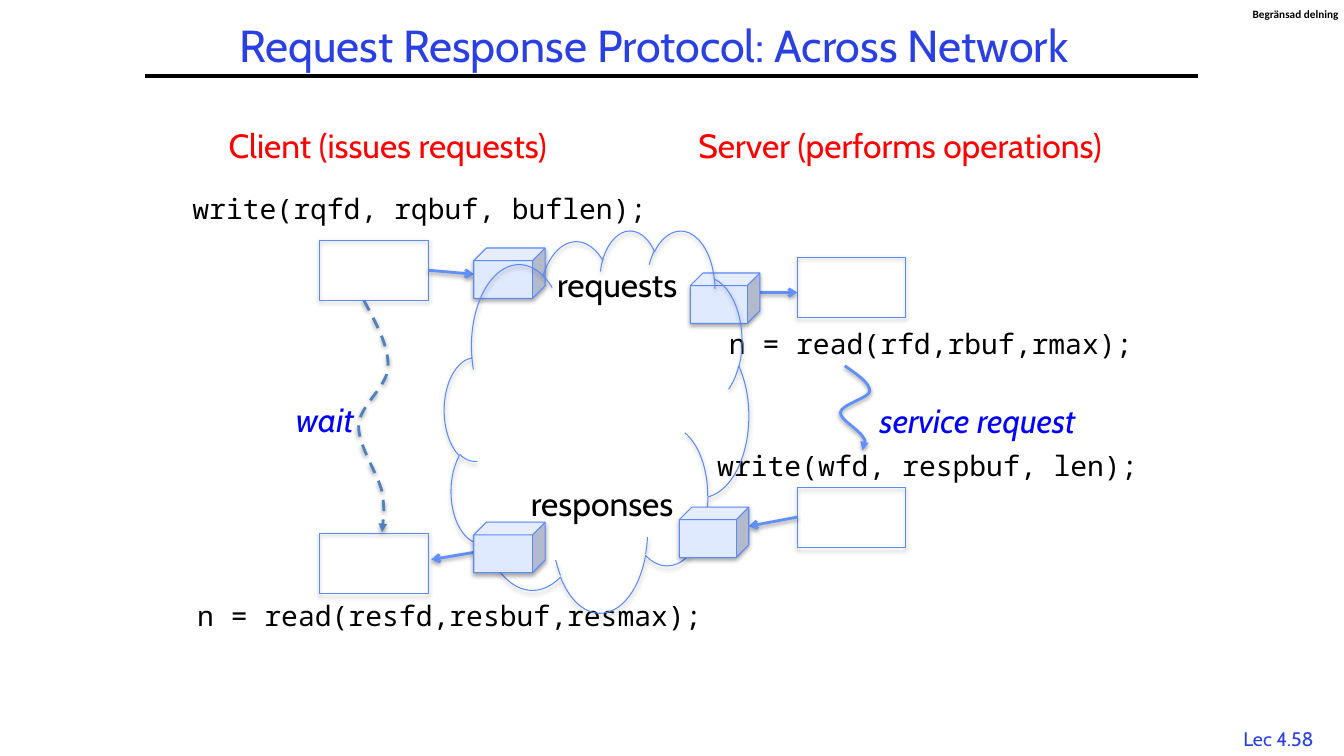
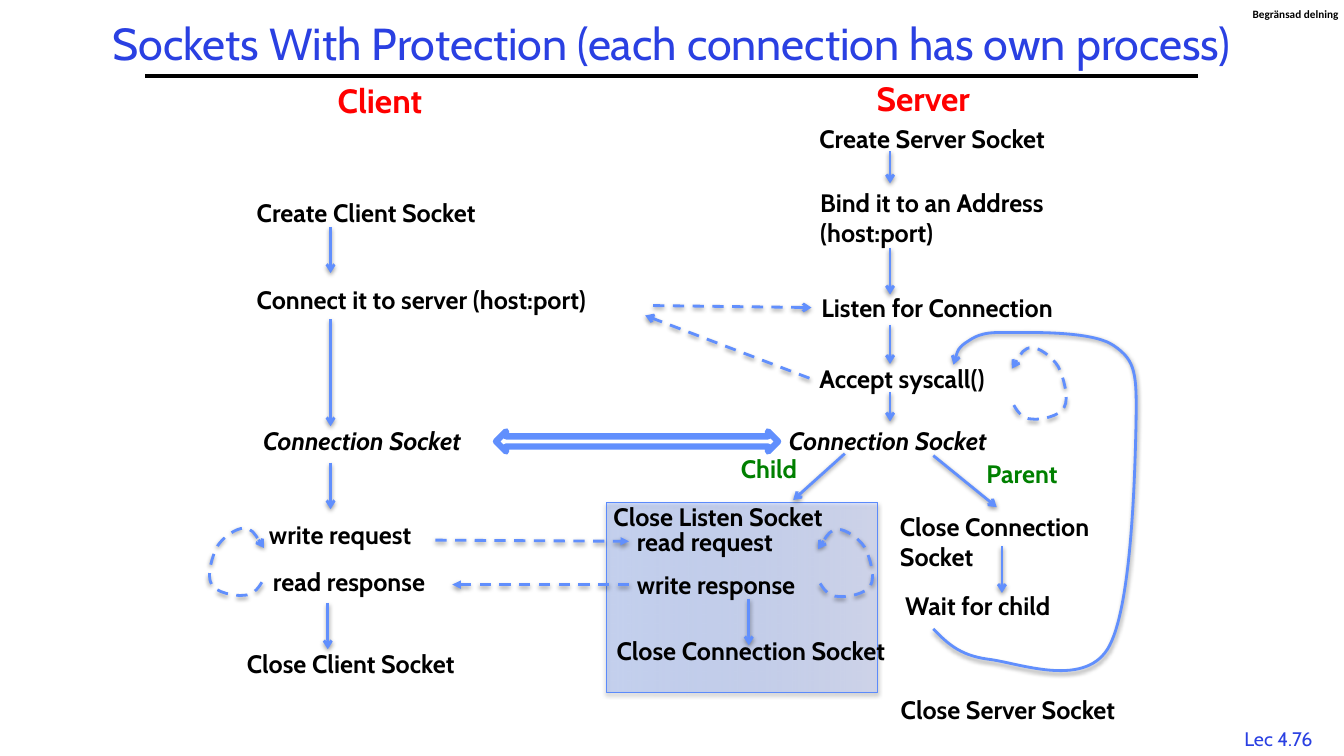
"""Build two lecture slides on request-response protocols and sockets."""
import lxml.etree
import pptx
import pptx.dml.color
import pptx.enum.dml
import pptx.enum.shapes
import pptx.enum.text
import pptx.oxml.ns
import pptx.util

Cm = pptx.util.Cm
Pt = pptx.util.Pt
qn = pptx.oxml.ns.qn
SHAPES = pptx.enum.shapes.MSO_SHAPE
ALIGN = pptx.enum.text.PP_ALIGN
AUTO_SIZE = pptx.enum.text.MSO_AUTO_SIZE

BLACK, WHITE, RED, GREEN, BLUE = "000000", "FFFFFF", "FF0000", "008000", "0000FF"
TITLE_BLUE, ARROW_BLUE, OUTLINE_BLUE = "2A40E2", "618FFD", "5B8AFB"
WAIT_BLUE, CUBE_BLUE = "4F81BD", "DFE9FF"
SANS, MONO, LABEL = "Cabin", "Noto Sans Mono", "Calibri"


def color(value):
    """Return the colour for a hex string."""
    return pptx.dml.color.RGBColor.from_string(value)


class Deck:
    """Hold the style and the current slide."""

    def __init__(self):
        """Start a wide presentation."""
        self.presentation = pptx.Presentation()
        self.presentation.slide_width = Cm(33.87)
        self.presentation.slide_height = Cm(19.05)
        self.slide = None

    def start_slide(self, title, number, left, top, width, height):
        """Add a slide with its title, rule, label and lecture number."""
        layout = self.presentation.slide_layouts[5]
        self.slide = self.presentation.slides.add_slide(layout)
        shape = self.slide.shapes.title
        shape.left, shape.top, shape.width, shape.height = map(
            Cm, (left, top, width, height))
        frame = shape.text_frame
        frame.text = title
        frame.word_wrap = True
        frame.auto_size = AUTO_SIZE.NONE
        frame.vertical_anchor = pptx.enum.text.MSO_ANCHOR.MIDDLE
        paragraph = frame.paragraphs[0]
        paragraph.line_spacing = 0.9
        self.format_paragraph(paragraph, 32, TITLE_BLUE, align=ALIGN.CENTER)
        self.text(number, 30.99, 18.19, 2.46, 14, TITLE_BLUE, align=ALIGN.CENTER)
        self.text("Begränsad delning", 31.57, 0.18, 2.18, 8, font=LABEL,
                  bold=True, wrap=True, inset=False)
        self.line(3.66, 1.91, 30.2, 1.91, BLACK, 3, head=None, shadow=False)

    def format_paragraph(self, paragraph, size, hue, font=SANS, bold=False,
                         italic=False, align=ALIGN.LEFT):
        """Set the alignment and font of a paragraph."""
        paragraph.alignment = align
        paragraph.font.name = font
        paragraph.font.size = Pt(size)
        paragraph.font.bold = bold
        paragraph.font.italic = italic
        paragraph.font.color.rgb = color(hue)

    def text(self, words, left, top, width, size=24, hue=BLACK, wrap=False,
             inset=True, **style):
        """Add a text box whose height follows from its lines."""
        height = size * 0.0425 * (words.count("\n") + 1) + 0.25 * inset
        shape = self.slide.shapes.add_textbox(Cm(left), Cm(top), Cm(width), Cm(height))
        frame = shape.text_frame
        frame.word_wrap = wrap
        frame.auto_size = AUTO_SIZE.SHAPE_TO_FIT_TEXT
        if not inset:
            frame.margin_left = frame.margin_right = 0
            frame.margin_top = frame.margin_bottom = 0
        frame.text = words
        for paragraph in frame.paragraphs:
            self.format_paragraph(paragraph, size, hue, **style)

    def code(self, words, left, top, width, align=ALIGN.LEFT):
        """Add a line of code."""
        self.text(words, left, top, width, 20, font=MONO, wrap=True, align=align)

    def step(self, words, left, top, width, hue=BLACK, italic=False, wrap=False):
        """Add a bold step label."""
        self.text(words, left, top, width, 18, hue, wrap, bold=True, italic=italic)

    def add_shadow(self, shape, distance, opacity):
        """Give a shape a soft shadow below it."""
        properties = shape._element.spPr
        effects = properties.find(qn("a:effectLst"))
        if effects is None:
            effects = lxml.etree.SubElement(properties, qn("a:effectLst"))
        shadow = lxml.etree.SubElement(
            effects, qn("a:outerShdw"), blurRad="40000", dist=str(distance),
            dir="5400000", rotWithShape="0")
        hue = lxml.etree.SubElement(shadow, qn("a:srgbClr"), val=BLACK)
        lxml.etree.SubElement(hue, qn("a:alpha"), val=str(opacity * 1000))

    def style_line(self, shape, hue, width, dashed, head, shadow=True):
        """Format a stroke, its arrowhead and its shadow."""
        shape.line.color.rgb = color(hue)
        shape.line.width = Pt(width)
        if dashed:
            shape.line.dash_style = pptx.enum.dml.MSO_LINE.DASH
        if head:
            stroke = shape._element.spPr.find(qn("a:ln"))
            lxml.etree.SubElement(stroke, qn("a:tailEnd"), type=head)
        if shadow:
            self.add_shadow(shape, 20000, 38)
        elif shape._element.spPr.find(qn("a:effectLst")) is None:
            lxml.etree.SubElement(shape._element.spPr, qn("a:effectLst"))

    def line(self, x1, y1, x2, y2, hue=ARROW_BLUE, width=2, dashed=False,
             head="arrow", shadow=True):
        """Add a straight line or arrow."""
        connector = self.slide.shapes.add_connector(
            pptx.enum.shapes.MSO_CONNECTOR.STRAIGHT, Cm(x1), Cm(y1), Cm(x2), Cm(y2))
        self.style_line(connector, hue, width, dashed, head, shadow)

    def curve(self, points, hue=ARROW_BLUE, dashed=False, head="arrow"):
        """Add a curved arrow from a start and triples of Bezier points."""
        points = [(Cm(x), Cm(y)) for x, y in points]
        builder = self.slide.shapes.build_freeform(*points[0])
        builder.add_line_segments(points[1:], close=False)
        shape = builder.convert_to_shape()
        outline = next(shape._element.iter(qn("a:path")))
        segments = outline.findall(qn("a:lnTo"))
        for start in range(0, len(segments), 3):
            bezier = lxml.etree.SubElement(outline, qn("a:cubicBezTo"))
            for segment in segments[start:start + 3]:
                bezier.append(segment[0])
                outline.remove(segment)
        shape.fill.background()
        shape.shadow.inherit = False
        self.style_line(shape, hue, 2, dashed, head)

    def loop(self, left, top, direction=1, stretch=1):
        """Add a dashed arrow that loops back beside its steps."""
        offsets = [(0.05, 1.45), (0.15, 1.63), (0.28, 1.8), (0.51, 1.8),
                   (0.71, 1.83), (1.22, 1.73), (1.32, 1.5), (1.45, 1.27),
                   (1.3, 0.74), (1.17, 0.48), (1.02, 0.23), (0.69, 0),
                   (0.51, 0), (0.3, 0), (0.15, 0.28), (0, 0.53)]
        self.curve([(left + direction * x, top + stretch * y) for x, y in offsets],
                   dashed=True)

    def shape(self, kind, left, top, width, height, fill=None,
              line=OUTLINE_BLUE, line_width=0.75, shadow=True):
        """Add an outlined preset shape and return it."""
        shape = self.slide.shapes.add_shape(
            kind, Cm(left), Cm(top), Cm(width), Cm(height))
        shape.shadow.inherit = False
        if fill:
            shape.fill.solid()
            shape.fill.fore_color.rgb = color(fill)
        else:
            shape.fill.background()
        shape.line.color.rgb = color(line)
        shape.line.width = Pt(line_width)
        if shadow:
            self.add_shadow(shape, 23000, 35)
        return shape

    def gradient_panel(self, left, top, width, height, stops):
        """Add a panel with a translucent gradient."""
        shape = self.shape(SHAPES.RECTANGLE, left, top, width, height)
        shape.fill.gradient()
        shape.fill.gradient_angle = 0
        for position, (stop, (hue, _)) in enumerate(zip(shape.fill.gradient_stops, stops)):
            stop.position = position
            stop.color.rgb = color(hue)
        gradient = shape._element.spPr.find(qn("a:gradFill"))
        for element, (_, opacity) in zip(gradient.iter(qn("a:srgbClr")), stops):
            lxml.etree.SubElement(element, qn("a:alpha"), val=str(opacity * 1000))


def build_request_response(deck):
    """Draw the request and response exchange across the network."""
    deck.start_slide("Request Response Protocol: Across Network", "Lec 4.58",
                     3.12, 0, 26.72, 2.44)
    deck.text("Client (issues requests)", 5.51, 3.02, 9.45, hue=RED)
    deck.text("Server (performs operations)", 17.35, 3.02, 11.46, hue=RED)
    deck.code("write(rqfd, rqbuf, buflen);", 4.6, 4.7, 12.47)
    deck.code("n = read(rfd,rbuf,rmax);", 16.89, 8.1, 11.91, ALIGN.RIGHT)
    deck.code("write(wfd, respbuf, len);", 16.89, 11.18, 12.04, ALIGN.RIGHT)
    deck.code("n = read(resfd,resbuf,resmax);", 4.72, 14.96, 13.92)
    for left, top in ((8.05, 6.05), (20.09, 6.48), (8.05, 13.44), (20.09, 12.29)):
        deck.shape(SHAPES.RECTANGLE, left, top, 2.74, 1.52)
    for ends in ((10.8, 6.81, 11.94, 6.91), (19.15, 7.37, 20.09, 7.37),
                 (11.94, 13.92, 10.87, 14.1), (20.09, 13.03, 18.87, 13.26)):
        deck.line(*ends)
    deck.curve([(21.29, 9.22), (21.62, 9.45), (21.92, 9.65), (21.92, 9.86),
                (21.89, 10.03), (21.21, 10.19), (21.18, 10.39),
                (21.16, 10.57), (21.64, 10.82), (21.74, 11),
                (21.84, 11.15), (21.74, 11.35), (21.74, 11.35)], head="triangle")
    deck.curve([(9.17, 7.57), (9.47, 8.13), (9.8, 8.71), (9.78, 9.25),
                (9.75, 9.78), (9.07, 10.19), (9.04, 10.72),
                (9.02, 11.23), (9.53, 11.94), (9.63, 12.4),
                (9.7, 12.85), (9.63, 13.41), (9.63, 13.41)],
               WAIT_BLUE, dashed=True, head="triangle")
    deck.text("service request", 21.92, 9.96, 6.32, hue=BLUE, italic=True)
    deck.text("wait", 7.21, 9.93, 2.03, hue=BLUE, italic=True)
    request_cubes = ((11.94, 6.25, 1.8), (17.4, 6.88, 1.75))
    response_cubes = ((17.12, 12.78, 1.75), (11.94, 13.16, 1.8))
    for cube in request_cubes:
        deck.shape(SHAPES.CUBE, *cube, 1.27, CUBE_BLUE)
    deck.shape(SHAPES.CLOUD, 11.2, 5.79, 7.67, 9.63)
    for cube in response_cubes:
        deck.shape(SHAPES.CUBE, *cube, 1.27, CUBE_BLUE)
    deck.text("requests", 13.79, 6.53, 3.78)
    deck.text("responses", 13.13, 12.04, 4.47)


def build_sockets(deck):
    """Draw the socket life cycle with one process for each connection."""
    deck.start_slide("Sockets With Protection (each connection has own process)",
                     "Lec 4.76", 1.27, 0.43, 31.32, 1.47)
    deck.gradient_panel(15.29, 12.67, 6.83, 4.78, (("5F8EFF", 26), ("C4D0FF", 46)))
    deck.text("Client", 8.26, 1.88, 2.9, hue=RED, bold=True)
    deck.text("Server", 21.84, 1.83, 3.3, hue=RED, bold=True)
    for step in (
            ("Create Client Socket", 6.22, 4.85, 6.76),
            ("Connect it to server (host:port)", 6.22, 7.04, 9.96),
            ("write request", 6.53, 12.95, 4.5),
            ("read response", 6.63, 14.15, 4.85),
            ("Close Client Socket", 5.97, 16.21, 6.53),
            ("Create Server Socket", 20.4, 2.97, 6.96),
            ("Bind it to an Address\n(host:port)", 20.42, 4.6, 7.11),
            ("Listen for Connection", 20.45, 7.24, 7.11),
            ("Accept syscall()", 20.4, 9.02, 5.41),
            ("Close Listen Socket", 15.21, 12.5, 6.99),
            ("read request", 15.8, 13.13, 4.5),
            ("write response", 15.8, 14.22, 5.05),
            ("Close Connection Socket", 15.29, 15.88, 7.47),
            ("Wait for child", 22.56, 14.76, 6.99),
            ("Close Server Socket", 22.45, 17.37, 6.86)):
        deck.step(*step)
    deck.step("Close Connection Socket", 22.43, 12.75, 6.99, wrap=True)
    for left in (6.38, 19.63):
        deck.step("Connection Socket", left, 10.59, 6.32, italic=True)
    deck.step("Child", 18.42, 11.3, 2.11, GREEN)
    deck.step("Parent", 24.61, 11.43, 2.51, GREEN)
    for x, top, bottom in (
            (8.33, 5.72, 6.88), (8.33, 8.05, 10.74), (8.33, 11.66, 12.83),
            (8.26, 15.19, 16.36), (22.43, 3.81, 4.62), (22.43, 6.25, 7.42),
            (22.43, 8.18, 9.17), (22.43, 9.88, 10.62), (18.87, 15.09, 16.26),
            (25.25, 13.77, 14.94)):
        deck.line(x, top, x, bottom)
    deck.line(21.29, 11.43, 19.99, 12.6)
    deck.line(23.52, 11.48, 25.12, 12.78)
    deck.line(16.46, 7.7, 20.45, 7.75, dashed=True)
    deck.line(20.4, 9.53, 16.26, 7.95, dashed=True)
    deck.line(10.97, 13.61, 15.85, 13.64, dashed=True, head="triangle")
    deck.line(15.85, 14.73, 11.4, 14.73, dashed=True, head="triangle")
    deck.shape(SHAPES.LEFT_RIGHT_ARROW, 12.5, 10.87, 7.11, 0.51, WHITE,
               ARROW_BLUE, 4.5, shadow=False)
    deck.loop(25.5, 8.76)
    deck.loop(20.62, 13.34, stretch=0.94)
    deck.loop(6.65, 13.31, direction=-1, stretch=0.94)
    deck.curve([(23.52, 15.85), (23.85, 16.18), (24.16, 16.51), (24.89, 16.61),
                (25.63, 16.69), (27.28, 17.35), (27.91, 16.36),
                (28.52, 15.39), (28.6, 11.96), (28.63, 10.69),
                (28.65, 9.42), (28.63, 9.09), (28.07, 8.71),
                (27.53, 8.33), (25.93, 8.38), (25.32, 8.38),
                (24.69, 8.36), (24.54, 8.51), (24.33, 8.64),
                (24.13, 8.79), (24.08, 8.99), (24.03, 9.19)])


def main():
    """Build and save the presentation."""
    deck = Deck()
    build_request_response(deck)
    build_sockets(deck)
    deck.presentation.save("out.pptx")


if __name__ == "__main__":
    main()
